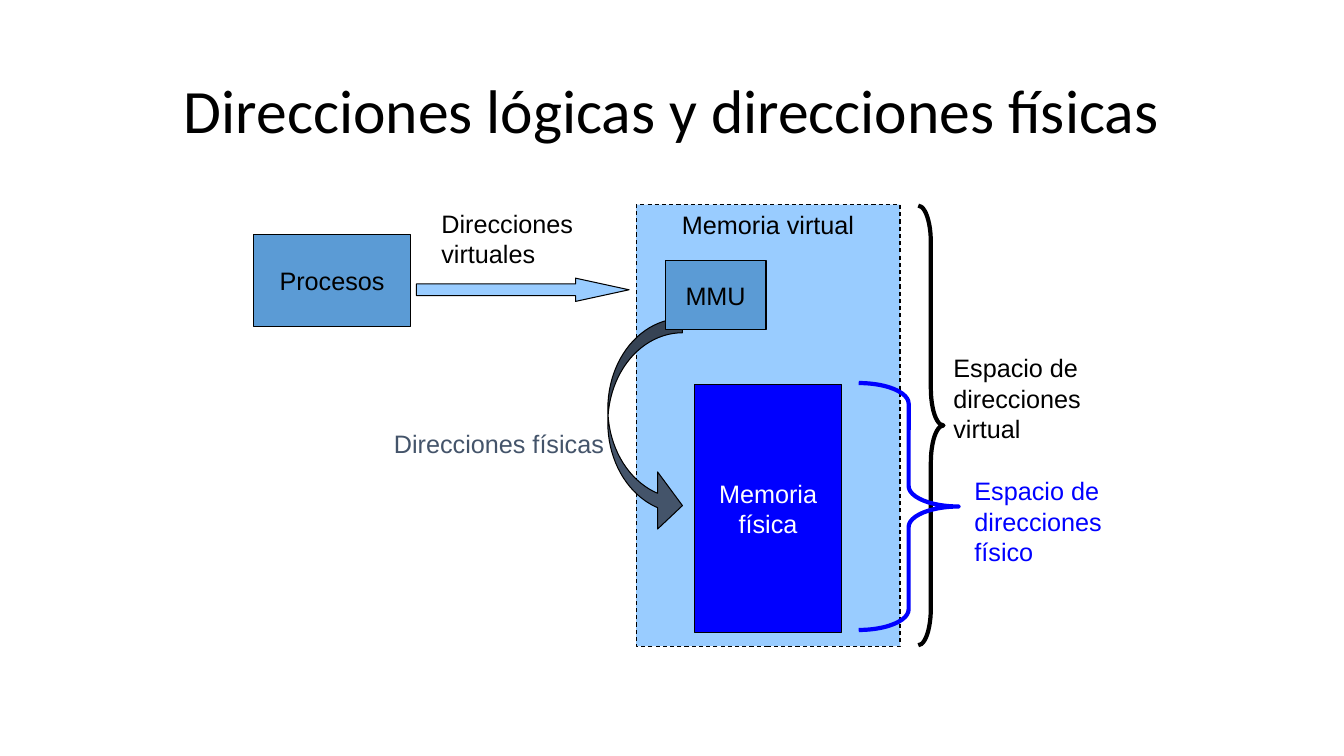
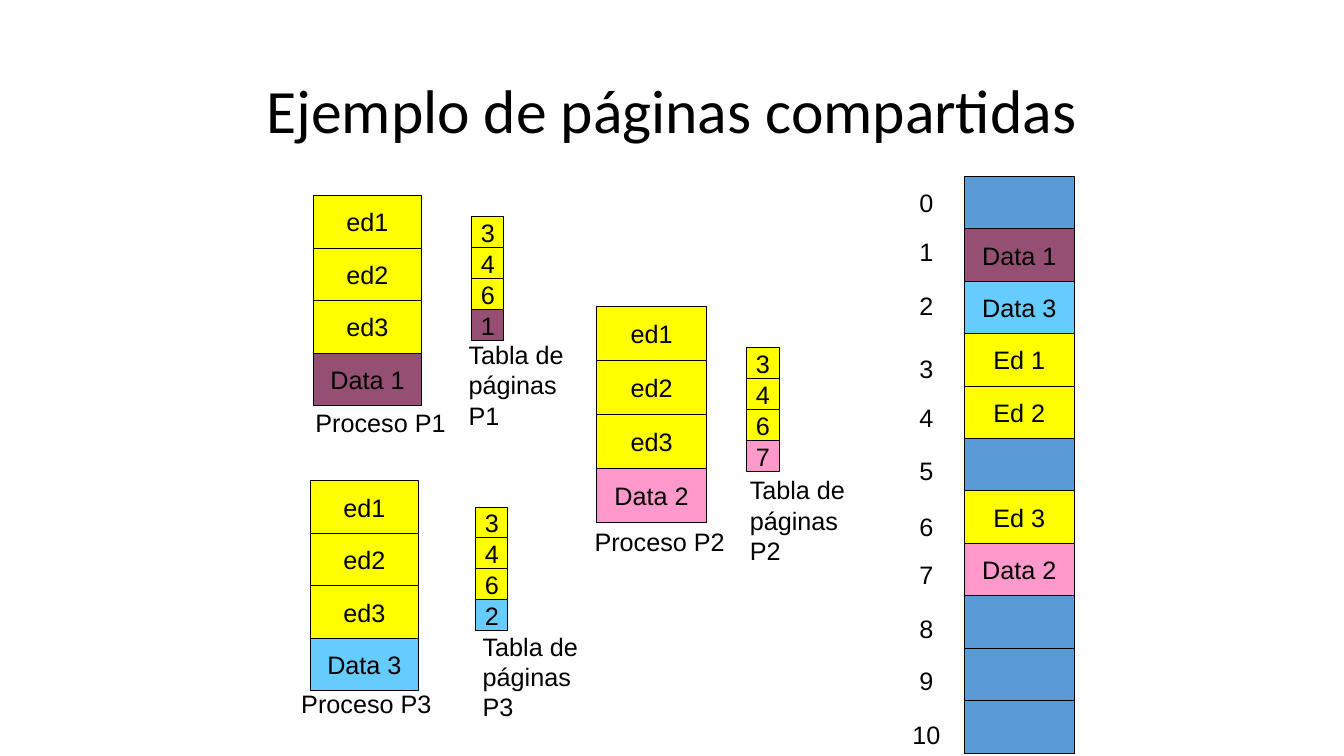
from pptx import Presentation
from pptx.dml.color import RGBColor
from pptx.enum.dml import MSO_LINE
from pptx.enum.shapes import MSO_SHAPE
from pptx.enum.text import MSO_ANCHOR, MSO_AUTO_SIZE, PP_ALIGN
from pptx.util import Pt

RECTANGLE = MSO_SHAPE.RECTANGLE
RIGHT_BRACE = MSO_SHAPE.RIGHT_BRACE
RIGHT_ARROW = MSO_SHAPE.RIGHT_ARROW
CURVED_ARROW = MSO_SHAPE.CURVED_RIGHT_ARROW
DASH = MSO_LINE.DASH
TOP, MIDDLE = MSO_ANCHOR.TOP, MSO_ANCHOR.MIDDLE
LEFT, CENTER = PP_ALIGN.LEFT, PP_ALIGN.CENTER
NO_FIT, FIT_SHAPE = MSO_AUTO_SIZE.NONE, MSO_AUTO_SIZE.SHAPE_TO_FIT_TEXT

BLACK = RGBColor(0x00, 0x00, 0x00)
WHITE = RGBColor(0xFF, 0xFF, 0xFF)
BLUE = RGBColor(0x00, 0x00, 0xFF)
STEEL = RGBColor(0x5B, 0x9B, 0xD5)
PALE_BLUE = RGBColor(0x99, 0xCC, 0xFF)
SKY = RGBColor(0x66, 0xCC, 0xFF)
SLATE = RGBColor(0x44, 0x54, 0x6A)
YELLOW = RGBColor(0xFF, 0xFF, 0x00)
PLUM = RGBColor(0x95, 0x4F, 0x72)
PINK = RGBColor(0xFF, 0x99, 0xCC)

TITLE_FONT, BODY_FONT = "Calibri", "Arial"
TITLE_SIZE, BODY_SIZE = 44, 18
THIN, THICK = 0.75, 3
LINE_HEIGHT = 28.8

FRAMES = [
    ("", STEEL), ("Data 1", PLUM), ("Data 3", SKY), ("Ed 1", YELLOW),
    ("Ed 2", YELLOW), ("", STEEL), ("Ed 3", YELLOW), ("Data 2", PINK),
    ("", STEEL), ("", STEEL), ("", STEEL),
]
FRAME_NUMBER_TOPS = [4.3, 39.6, 77.8, 123.1, 157.7, 195.8, 235.4, 270, 308.9, 345.6, 384.5]


def place(left, top, width, height):
    return Pt(left), Pt(top), Pt(width), Pt(height)


def write(box, text, color, align, anchor, wrap):
    frame = box.text_frame
    frame.word_wrap = wrap
    frame.vertical_anchor = anchor
    para = frame.paragraphs[0]
    para.text = text
    para.alignment = align
    para.font.name = BODY_FONT
    para.font.size = Pt(BODY_SIZE)
    para.font.color.rgb = color


def add_figure(page, kind, area, fill=None, line=BLACK, weight=THIN, adjustments=()):
    figure = page.shapes.add_shape(kind, *place(*area))
    figure.shadow.inherit = False
    if fill is None:
        figure.fill.background()
    else:
        figure.fill.solid()
        figure.fill.fore_color.rgb = fill
    figure.line.color.rgb = line
    figure.line.width = Pt(weight)
    for index, value in enumerate(adjustments):
        figure.adjustments[index] = value
    return figure


def add_block(page, area, text, fill, color=BLACK, anchor=MIDDLE, wrap=False):
    block = add_figure(page, RECTANGLE, area, fill)
    if text:
        write(block, text, color, CENTER, anchor, wrap)
    return block


def add_label(page, area, text, color=BLACK, wrap=True):
    label = page.shapes.add_textbox(*place(*area))
    write(label, text, color, LEFT, TOP, wrap)
    label.text_frame.auto_size = FIT_SHAPE


def add_stack(page, left, top, width, pitch, cells):
    for row, (text, fill) in enumerate(cells):
        add_block(page, (left, top + row * pitch, width, pitch), text, fill)


def add_page(deck, text):
    page = deck.slides.add_slide(deck.slide_layouts[5])
    title = page.shapes.title
    title.left, title.top, title.width, title.height = place(66, 28.8, 828, 104.4)
    frame = title.text_frame
    frame.auto_size = NO_FIT
    frame.word_wrap = True
    frame.vertical_anchor = MIDDLE
    para = frame.paragraphs[0]
    para.text = text
    para.alignment = CENTER
    para.line_spacing = 0.9
    para.font.name = TITLE_FONT
    para.font.size = Pt(TITLE_SIZE)
    para.font.color.rgb = BLACK
    return page


def add_virtual_memory(page, left, top, width, height):
    panel = add_block(page, (left, top, width, height), "Memoria virtual", PALE_BLUE, anchor=TOP)
    panel.line.dash_style = DASH
    add_figure(page, RIGHT_BRACE, (left + 201.6, top + 0.7, 18, height - 1.4),
               weight=THICK, adjustments=(1.464, 0.5))
    add_label(page, (left + 219.6, top + 102.2, 121.7, 72), "Espacio de direcciones virtual")
    add_block(page, (left + 41.8, top + 128.2, 105.1, 177.1), "Memoria física", BLUE,
              color=WHITE, wrap=True)
    add_figure(page, RIGHT_BRACE, (left + 159.1, top + 127.4, 71.3, 176.4),
               line=BLUE, weight=THICK, adjustments=(0.206, 0.5))
    add_label(page, (left + 234.7, top + 190.1, 118.1, 72), "Espacio de direcciones físico", BLUE)


def add_processes(page, left, top, width, height):
    add_block(page, (left, top, width, height), "Procesos", STEEL)
    add_figure(page, RIGHT_ARROW, (left + width + 4.4, top + 30.9, 151.9, 16.6), PALE_BLUE,
               adjustments=(0.5, 2.299))
    add_label(page, (left + width + 15.2, top - 22.4, 133.2, 50.4), "Direcciones virtuales")


def add_translation(page, left, top, width, height):
    add_figure(page, CURVED_ARROW, (left - 41, top + 41.7, 53.3, 154.1), SLATE,
               adjustments=(0.192, 0.766, 0.333))
    add_block(page, (left, top, width, height), "MMU", STEEL)
    add_label(page, (left - 200.9, top + 116.6, 164.2, LINE_HEIGHT), "Direcciones físicas",
              SLATE, wrap=False)


def add_process(page, number, left, top, width, pitch, data_fill, caption):
    cells = [(f"ed{part}", YELLOW) for part in (1, 2, 3)]
    add_stack(page, left, top, width, pitch, cells + [(f"Data {number}", data_fill)])
    across, down = caption
    add_label(page, (left + across, top + down, 107.3, LINE_HEIGHT), f"Proceso P{number}", wrap=False)


def add_page_table(page, number, left, top, data_frame, data_fill, caption):
    cells = [(frame, YELLOW) for frame in "346"]
    add_stack(page, left, top, 23, 22.1, cells + [(data_frame, data_fill)])
    across, down = caption
    add_label(page, (left + across, top + down, 91.4, 72), f"Tabla de páginas P{number}")


def add_physical_memory(page, left, top, width, pitch):
    add_stack(page, left, top, width, pitch, FRAMES)
    for number, offset in enumerate(FRAME_NUMBER_TOPS):
        text = str(number)
        label_width = 14.4 + 10 * len(text)
        add_label(page, (left - 27.2 - label_width / 2, top + offset, label_width, LINE_HEIGHT),
                  text, wrap=False)


def build_addresses(deck):
    page = add_page(deck, "Direcciones lógicas y direcciones físicas")
    add_virtual_memory(page, 454.3, 146.2, 188.6, 315.4)
    add_processes(page, 181.4, 167.8, 111.6, 65.5)
    add_translation(page, 475.2, 185.8, 72, 49.7)


def build_shared_pages(deck):
    page = add_page(deck, "Ejemplo de páginas compartidas")
    add_process(page, 1, 224, 139.7, 77, 37.5, PLUM, (-5.8, 147.6))
    add_process(page, 3, 221.8, 343.4, 77, 37.5, SKY, (-13.7, 144.8))
    add_process(page, 2, 426.2, 218.9, 78.5, 38.6, PINK, (-8.6, 153.4))
    add_page_table(page, 1, 337, 154.8, "1", PLUM, (-9.4, 84.2))
    add_page_table(page, 3, 339.8, 362.2, "2", SKY, (-2.1, 85))
    add_page_table(page, 2, 533.5, 248.4, "7", PINK, (-5, 87.1))
    add_physical_memory(page, 689, 126, 78.2, 37.45)


def main():
    deck = Presentation()
    deck.slide_width, deck.slide_height = Pt(960), Pt(540)
    build_addresses(deck)
    build_shared_pages(deck)
    deck.save("out.pptx")


if __name__ == "__main__":
    main()
